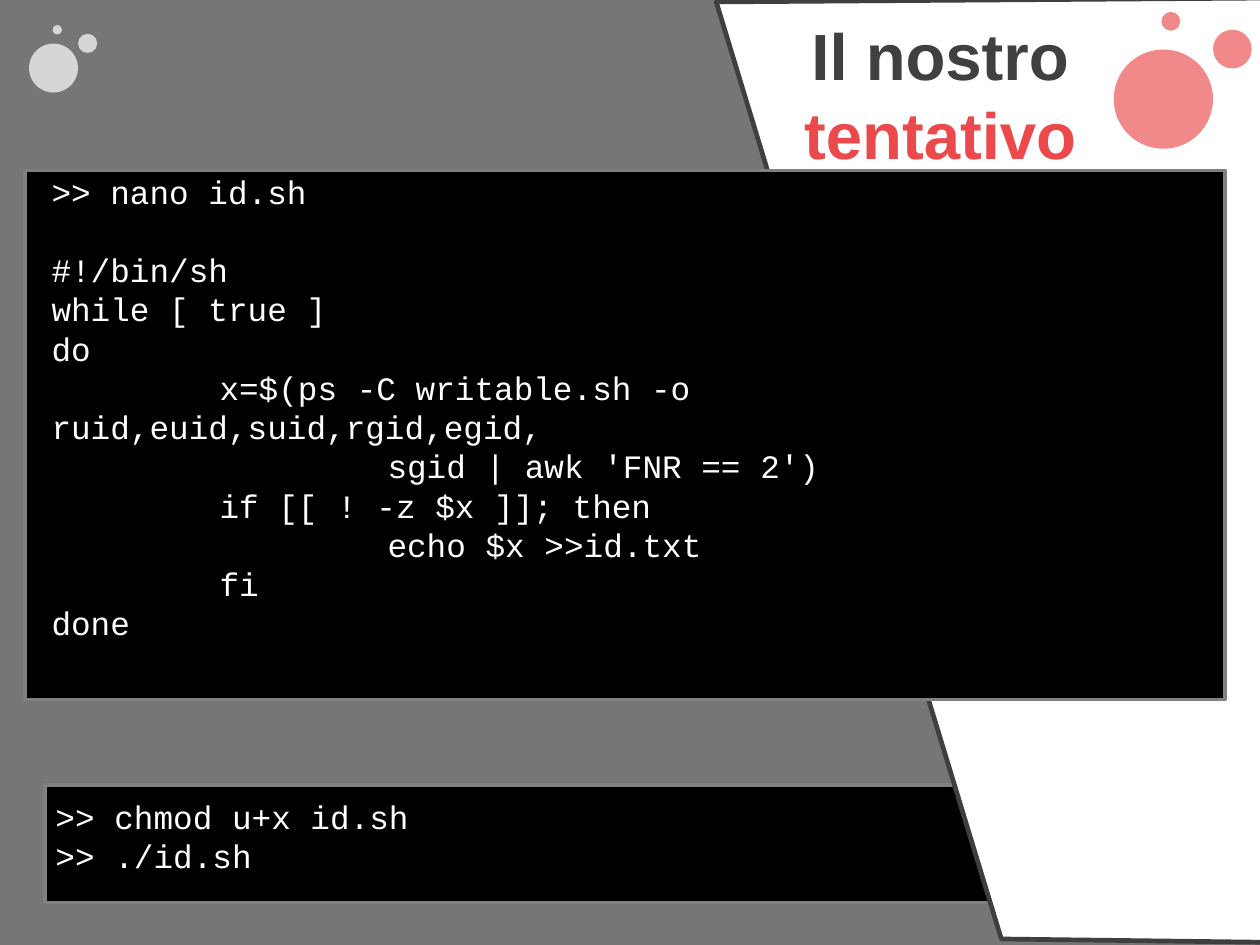
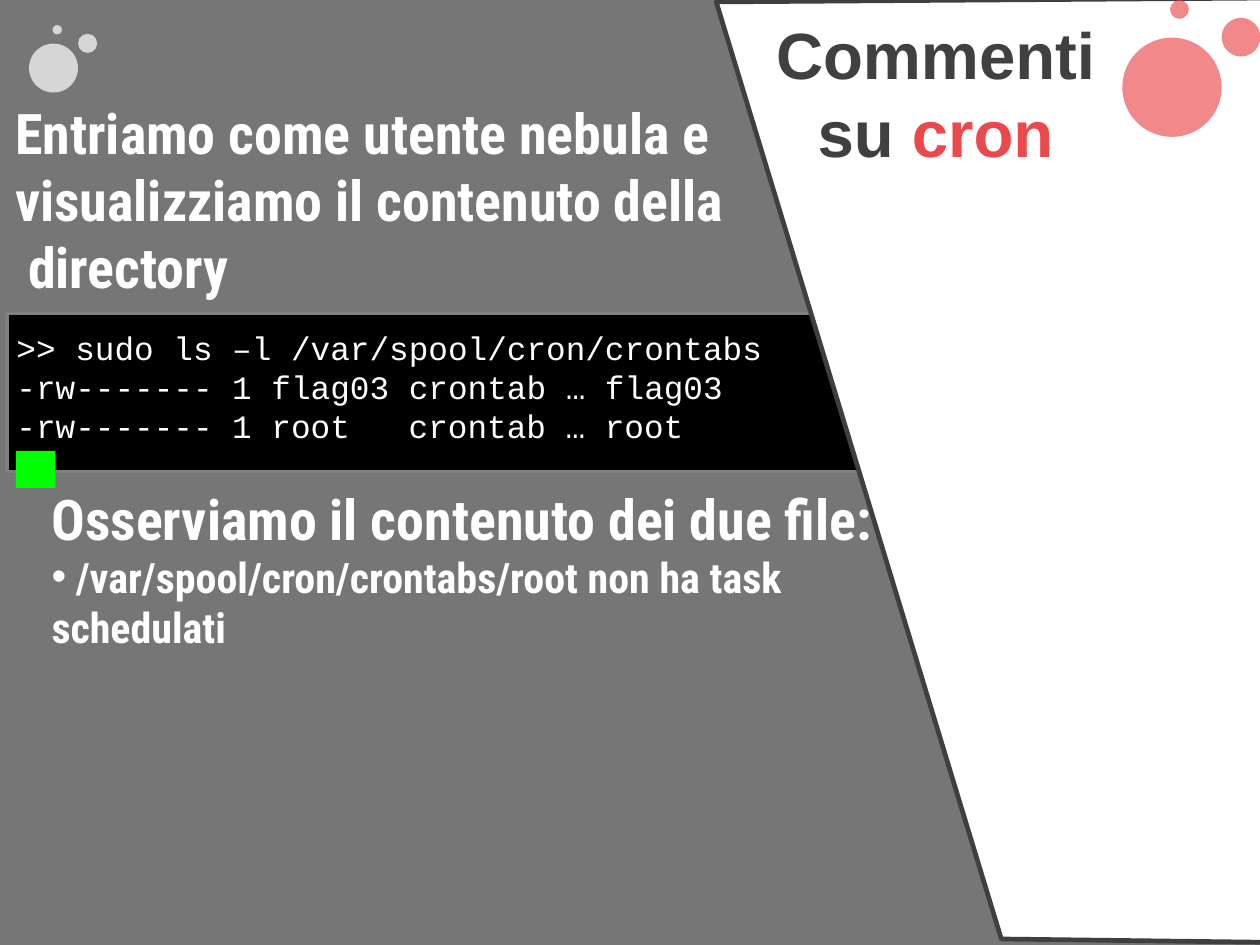
"""Builds two slides about a shell script and the cron jobs it observes."""
from dataclasses import dataclass

from lxml import etree
from pptx import Presentation
from pptx import util as u
from pptx.dml.color import RGBColor
from pptx.enum import shapes, text
from pptx.oxml.ns import qn

WHITE, BLACK, RED, GREEN = "FFFFFF", "000000", "EB494B", "00FF00"
BACKDROP, PANEL_EDGE, TITLE_GREY, FRAME = "3C3C3C", "3F3F3F", "404040", "808080"
WIDTH, HEIGHT = 19.05, 14.29
PANEL = [(15.14, 14.2), (10.83, 0.03), (19.28, -0.03), (19.15, 14.25)]
BUBBLES = [(0, 0, 1), (1, -0.2, 0.39), (0.48, -0.38, 0.19)]

CODE = {"name": "Courier New", "size": u.Pt(14), "bold": False}
TITLE = {"name": "Arial", "size": u.Pt(28), "bold": True}
BODY = {"name": "Roboto Condensed", "size": u.Pt(24), "bold": True}
DETAIL = {**BODY, "size": u.Pt(18)}
RECT, OVAL = shapes.MSO_SHAPE.RECTANGLE, shapes.MSO_SHAPE.OVAL
TOP, MIDDLE = text.MSO_ANCHOR.TOP, text.MSO_ANCHOR.MIDDLE
INDENTS = (2.54, 5.08)


@dataclass
class Box:
    left: float
    top: float
    width: float
    height: float

    def lengths(self) -> list:
        return [u.Cm(v) for v in (self.left, self.top, self.width, self.height)]


@dataclass
class Run:
    words: str
    color: str = WHITE


@dataclass
class Para:
    runs: list
    font: dict
    centered: bool = False
    after: float = 0
    bullet: str = ""
    tab_stops: tuple = ()


@dataclass
class Terminal:
    frame: Box
    area: Box
    lines: list
    anchor: int = TOP


def rgb(color: str) -> RGBColor:
    return RGBColor.from_string(color)


def paint(sp, fill: str, opacity: int = 100, line: str = "", width: float = 0) -> None:
    sp.shadow.inherit = False
    sp.fill.solid()
    sp.fill.fore_color.rgb = rgb(fill)
    if opacity < 100:
        tone = sp._element.spPr.find(qn("a:solidFill")).find(qn("a:srgbClr"))
        etree.SubElement(tone, qn("a:alpha"), val=str(opacity * 1000))
    if line:
        sp.line.color.rgb = rgb(line)
        sp.line.width = u.Pt(width)
    else:
        sp.line.fill.background()


def add_preset(s, kind: int, box: Box, fill: str, **style) -> None:
    paint(s.shapes.add_shape(kind, *box.lengths()), fill, **style)


def add_text(s, box: Box, paras: list, anchor: int = MIDDLE) -> None:
    tf = s.shapes.add_textbox(*box.lengths()).text_frame
    frame_format = {"word_wrap": True, "vertical_anchor": anchor,
                    "auto_size": text.MSO_AUTO_SIZE.SHAPE_TO_FIT_TEXT}
    for key, value in frame_format.items():
        setattr(tf, key, value)
    for i, para in enumerate(paras):
        p = tf.add_paragraph() if i else tf.paragraphs[0]
        if para.centered:
            p.alignment = text.PP_ALIGN.CENTER
        if para.after:
            p.space_after = u.Pt(para.after)
        props = p._p.get_or_add_pPr()
        if para.bullet:
            etree.SubElement(props, qn("a:buFont"), typeface="Arial")
            etree.SubElement(props, qn("a:buChar"), char=para.bullet)
        if para.tab_stops:
            stops = etree.SubElement(props, qn("a:tabLst"))
            for stop in para.tab_stops:
                etree.SubElement(stops, qn("a:tab"), pos=str(u.Cm(stop)), algn="l")
        for run in para.runs:
            r = p.add_run()
            r.text = run.words
            for key, value in para.font.items():
                setattr(r.font, key, value)
            r.font.color.rgb = rgb(run.color)


def add_bubbles(s, left: float, top: float, size: float, color: str, opacity: int) -> None:
    for dx, dy, scale in BUBBLES:
        box = Box(left + dx * size, top + dy * size, scale * size, scale * size)
        add_preset(s, OVAL, box, color, opacity=opacity)


def add_panel(s) -> None:
    start, *rest = [(u.Cm(x), u.Cm(y)) for x, y in PANEL]
    outline = s.shapes.build_freeform(*start)
    outline.add_line_segments(rest, close=True)
    paint(outline.convert_to_shape(), WHITE, line=PANEL_EDGE, width=2)


def add_terminal(s, term: Terminal) -> None:
    add_preset(s, RECT, term.frame, BLACK, line=FRAME, width=1.5)
    add_text(s, term.area, term.lines, term.anchor)


def add_title(s, box: Box, *lines: list) -> None:
    add_text(s, box, [Para(runs, TITLE, centered=True) for runs in lines])


def code(words: str, **layout) -> Para:
    return Para([Run(words)], CODE, **layout)


def body(words: str) -> Para:
    return Para([Run(words)], BODY)


def new_slide(prs):
    s = prs.slides.add_slide(prs.slide_layouts[6])
    add_preset(s, RECT, Box(0, 0, WIDTH, HEIGHT), BACKDROP, opacity=70)
    add_bubbles(s, 0.44, 0.66, 0.74, WHITE, 70)
    return s


def build_attempt(prs) -> None:
    s = new_slide(prs)
    add_terminal(s, Terminal(
        Box(0.68, 11.87, 16.23, 1.78), Box(0.59, 11.92, 15.54, 1.45),
        [code(">> chmod u+x id.sh "), code(">> ./id.sh")]))
    add_panel(s)
    add_bubbles(s, 16.84, 0.75, 1.5, RED, 65)
    script = ["#!/bin/sh", "while [ true ] ", "do",
              "\tx=$(ps -C writable.sh -o ruid,euid,suid,rgid,egid,",
              "\t\tsgid | awk 'FNR == 2')", "\tif [[ ! -z $x ]]; then",
              "\t\techo $x >>id.txt", "\tfi ", "done"]
    add_terminal(s, Terminal(
        Box(0.38, 2.58, 18.14, 8), Box(0.53, 2.74, 17.35, 6.83),
        [code(">> nano id.sh", after=16.8),
         *[code(line, tab_stops=INDENTS) for line in script]], MIDDLE))
    add_title(s, Box(11.7, 0.1, 5.03, 2.64),
              [Run("Il nostro", TITLE_GREY)], [Run("tentativo", RED)])


def build_cron(prs) -> None:
    s = new_slide(prs)
    add_text(s, Box(-0.02, 1.36, 16.33, 3.3),
             [body("Entriamo come utente nebula e "),
              body("visualizziamo il contenuto della"), body(" directory")], TOP)
    detail = " /var/spool/cron/crontabs/root non ha task schedulati"
    add_text(s, Box(0.53, 7.18, 14.02, 2.82),
             [body("Osserviamo il contenuto dei due file:"),
              Para([Run(detail)], DETAIL, bullet="•")])
    add_terminal(s, Terminal(
        Box(0.11, 4.74, 18.24, 2.39), Box(0, 4.83, 17.42, 2.74),
        [code(">> sudo ls –l /var/spool/cron/crontabs"),
         code("-rw------- 1 flag03 crontab … flag03"),
         code("-rw------- 1 root\tcrontab … root", tab_stops=(5.93,))]))
    cursor = Box(0.24, 6.82, 0.6, 0.56)
    add_preset(s, RECT, cursor, GREEN)
    add_panel(s)
    add_bubbles(s, 16.97, 0.57, 1.5, RED, 65)
    add_title(s, Box(11.16, 0.08, 5.97, 2.64),
              [Run("Commenti", TITLE_GREY)], [Run("su ", TITLE_GREY), Run("cron", RED)])


prs = Presentation()
prs.slide_width, prs.slide_height = u.Cm(WIDTH), u.Cm(HEIGHT)
build_attempt(prs)
build_cron(prs)
prs.save("out.pptx")
